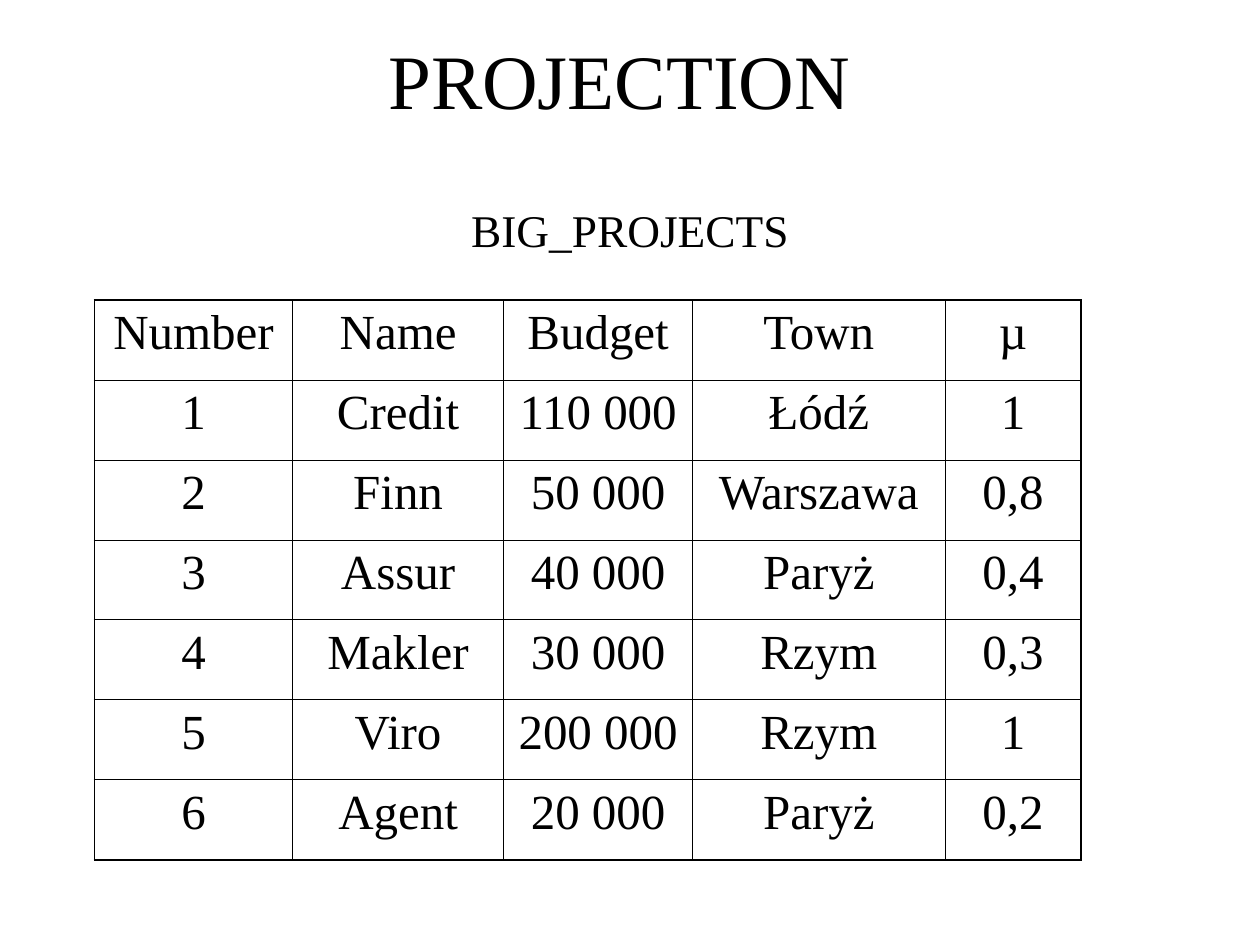
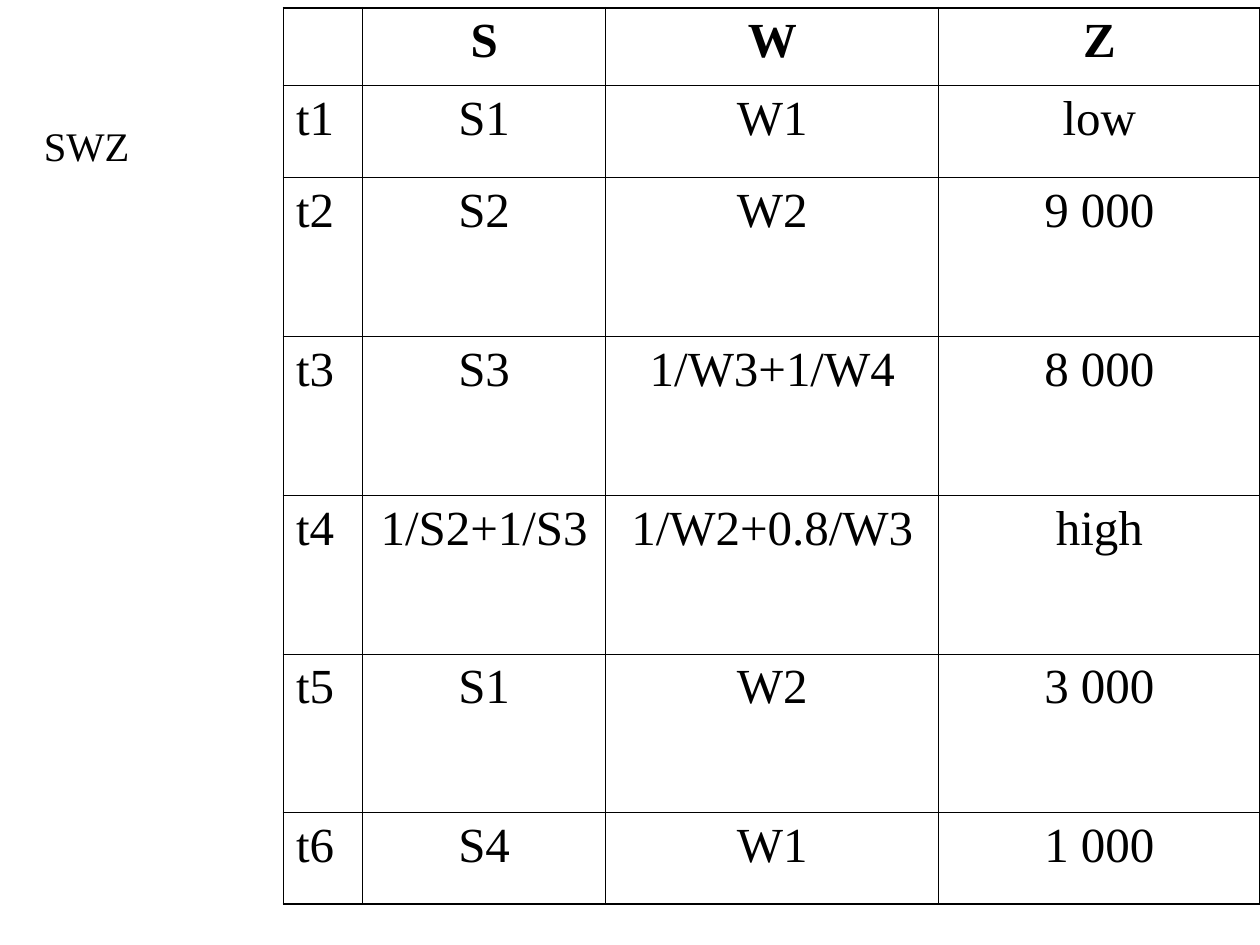
import pptx
import pptx.dml.color
import pptx.enum.text
import pptx.oxml
import pptx.oxml.ns
import pptx.util

Pt = pptx.util.Pt
ALIGN = pptx.enum.text.PP_ALIGN
ANCHOR = pptx.enum.text.MSO_ANCHOR

# Shared look
BLACK = pptx.dml.color.RGBColor(0, 0, 0)
FACE = "Times New Roman"
THIN, THICK = 0.45, 1.08


def write(frame, text, size, align, bold=False):
    """Put one styled line of text into a frame and return its run."""
    para = frame.paragraphs[0]
    para.alignment = align
    run = para.add_run()
    run.text = text
    look = {"name": FACE, "size": Pt(size), "bold": bold}
    for key, value in look.items():
        setattr(run.font, key, value)
    run.font.color.rgb = BLACK
    return run


def edge(cell, side, width):
    """Draw one solid border of a cell."""
    line = pptx.oxml.parse_xml(
        f'<a:ln{side} {pptx.oxml.ns.nsdecls("a")} w="{int(Pt(width))}">'
        f'<a:solidFill><a:srgbClr val="{BLACK}"/></a:solidFill></a:ln{side}>'
    )
    cell._tc.get_or_add_tcPr().append(line)


deck = pptx.Presentation()
deck.slide_width, deck.slide_height = Pt(720), Pt(540)
blank = deck.slide_layouts[6]

# Content of each slide
pages = [
    {
        "spot": (54, 171.4),
        "cols": [113.2, 120.6, 108, 144.2, 77.8],
        "rows": [45.7] * 7,
        "bold": False,
        "first": ALIGN.CENTER,
        "cells": [
            ["Number", "Name", "Budget", "Town", "µ"],
            ["1", "Credit", "110 000", "Łódź", "1"],
            ["2", "Finn", "50 000", "Warszawa", "0,8"],
            ["3", "Assur", "40 000", "Paryż", "0,4"],
            ["4", "Makler", "30 000", "Rzym", "0,3"],
            ["5", "Viro", "200 000", "Rzym", "1"],
            ["6", "Agent", "20 000", "Paryż", "0,2"],
        ],
        "texts": [
            {"text": "PROJECTION", "box": (48, 0, 612, 90), "size": 44},
            {"text": "BIG_PROJECTS", "box": (54, 111.6, 612, 39), "size": 25.9},
        ],
    },
    {
        "spot": (162, 4.4),
        "cols": [45.2, 138.9, 190.4, 183.5],
        "rows": [44.4, 52.5] + [90.8] * 4 + [52],
        "bold": True,
        "first": ALIGN.LEFT,
        "cells": [
            ["", "S", "W", "Z"],
            ["t1", "S1", "W1", "low"],
            ["t2", "S2", "W2", "9 000"],
            ["t3", "S3", "1/W3+1/W4", "8 000"],
            ["t4", "1/S2+1/S3", "1/W2+0.8/W3", "high"],
            ["t5", "S1", "W2", "3 000"],
            ["t6", "S4", "W1", "1 000"],
        ],
        "texts": [
            {"text": "SWZ", "box": (18, 48, 90.7, 90), "size": 40, "sub": True},
        ],
    },
]

for page in pages:
    slide = deck.slides.add_slide(blank)
    cols, rows = page["cols"], page["rows"]

    # Table frame
    left, top = page["spot"]
    table = slide.shapes.add_table(
        len(rows), len(cols), Pt(left), Pt(top), Pt(sum(cols)), Pt(sum(rows))
    ).table
    table.first_row = table.horz_banding = False
    for col, width in zip(table.columns, cols):
        col.width = Pt(width)
    for row, height in zip(table.rows, rows):
        row.height = Pt(height)

    # Cells: thick rim, thin inner lines
    for r, line in enumerate(page["cells"]):
        for c, text in enumerate(line):
            cell = table.cell(r, c)
            rim = {
                "L": c == 0,
                "R": c == len(cols) - 1,
                "T": r == 0,
                "B": r == len(rows) - 1,
            }
            for side, outer in rim.items():
                edge(cell, side, THICK if outer else THIN)
            cell.fill.background()
            if text:
                align = page["first"] if c == 0 else ALIGN.CENTER
                write(cell.text_frame, text, 28, align, page["bold"] and r == 0)

    # Titles and labels
    for item in page["texts"]:
        sub = item.get("sub", False)
        frame = slide.shapes.add_textbox(*map(Pt, item["box"])).text_frame
        frame.word_wrap = True
        frame.vertical_anchor = ANCHOR.TOP if sub else ANCHOR.MIDDLE
        align = ALIGN.LEFT if sub else ALIGN.CENTER
        run = write(frame, item["text"], item["size"], align)
        if sub:
            frame.paragraphs[0].line_spacing = 0.7
            run.font._element.set("baseline", "-25000")

deck.save("out.pptx")
